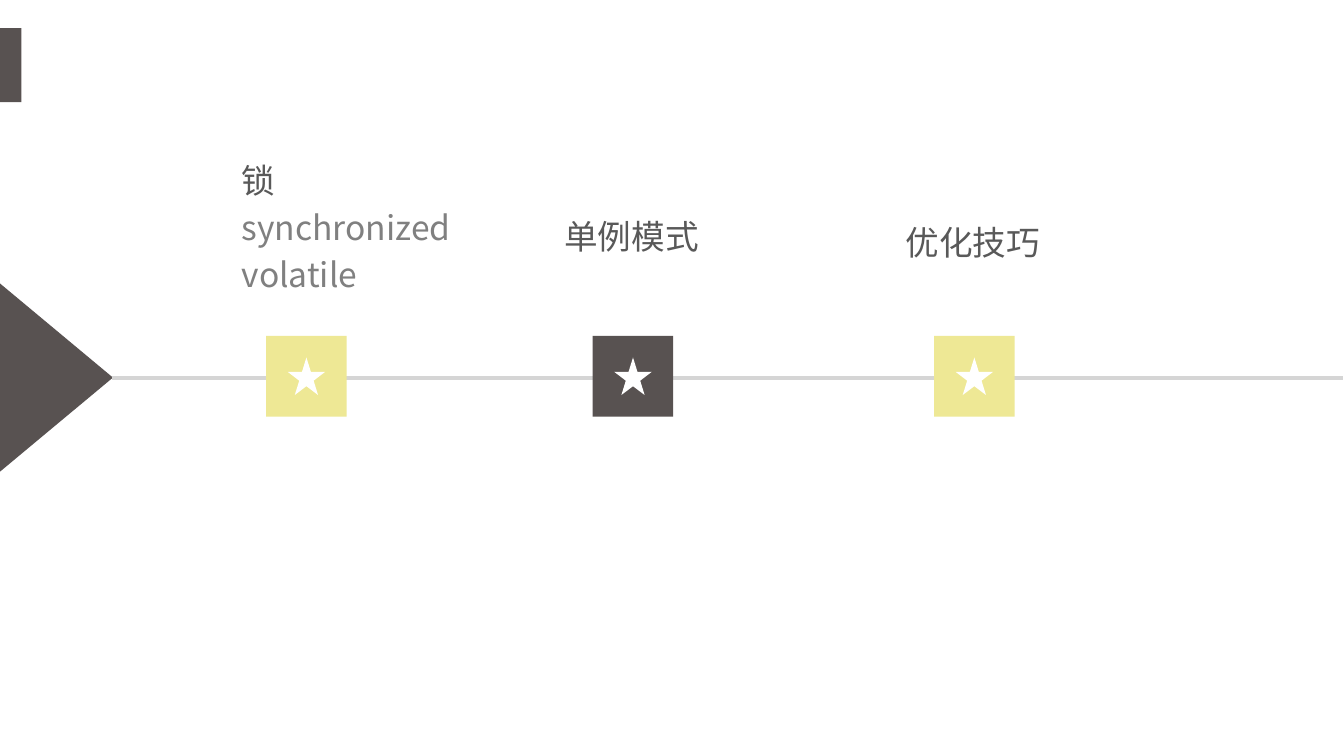
from lxml import etree
from pptx import Presentation
from pptx import util as u
from pptx.dml.color import RGBColor
from pptx.enum import shapes, text
from pptx.oxml.ns import qn

FONT = "Noto Sans CJK SC"
DARK, YELLOW, WHITE, GREY = "585251", "EEE895", "FFFFFF", "D5D5D5"
HEADING, DETAIL = "595959", "808080"
AXIS_Y, SQUARE, STAR = 2.8, 0.6, 0.28

MILESTONES = [
    {"center": 2.28, "fill": YELLOW, "label": (1.7, 1.14, 1.85, 1.22),
     "lines": ["锁", "synchronized", "volatile"]},
    {"center": 4.71, "fill": DARK, "label": (4.1, 1.56, 1.23, 0.38),
     "lines": ["单例模式"]},
    {"center": 7.25, "fill": YELLOW, "label": (6.64, 1.6, 1.23, 0.38),
     "lines": ["优化技巧"]},
]


def color(value):
    return RGBColor.from_string(value)


def add_shape(parent, kind, box, fill):
    shape = parent.add_shape(kind, *map(u.Inches, box))
    shape.shadow.inherit = False
    shape.fill.solid()
    shape.fill.fore_color.rgb = color(fill)
    shape.line.fill.background()
    return shape


def centered(x, size):
    return x - size / 2, AXIS_Y - size / 2, size, size


def add_label(parent, box, lines):
    frame = parent.add_textbox(*map(u.Inches, box)).text_frame
    settings = {"word_wrap": True, "vertical_anchor": text.MSO_ANCHOR.TOP}
    for name, value in settings.items():
        setattr(frame, name, value)
    for index, line in enumerate(lines):
        paragraph = frame.add_paragraph() if index else frame.paragraphs[0]
        paragraph.space_before = u.Pt(3.6)
        run = paragraph.add_run()
        run.text = line
        for name, value in {"size": u.Pt(18), "name": FONT}.items():
            setattr(run.font, name, value)
        run.font.color.rgb = color(DETAIL if index else HEADING)
        east_asian = etree.SubElement(run.font._element, qn("a:ea"))
        east_asian.set("typeface", FONT)


def main():
    presentation = Presentation()
    presentation.slide_width = u.Inches(10)
    presentation.slide_height = u.Inches(10 * 9 / 16)
    slide = presentation.slides.add_slide(presentation.slide_layouts[6])
    kinds = shapes.MSO_SHAPE

    add_shape(slide.shapes, kinds.RECTANGLE, (0, 0.21, 0.16, 0.55), DARK)
    arrow = add_shape(slide.shapes, kinds.ISOSCELES_TRIANGLE,
                      (-0.28, 2.39, 1.4, 0.84), DARK)
    arrow.rotation = 90

    axis = slide.shapes.add_connector(
        shapes.MSO_CONNECTOR.STRAIGHT,
        *map(u.Inches, (0.83, 2.81, 9.99, 2.81)))
    axis.line.color.rgb = color(GREY)
    axis.line.width = u.Pt(2)
    etree.SubElement(axis._element.spPr, qn("a:effectLst"))

    for milestone in MILESTONES:
        group = slide.shapes.add_group_shape()
        center = milestone["center"]
        add_shape(group.shapes, kinds.RECTANGLE,
                  centered(center, SQUARE), milestone["fill"])
        add_shape(group.shapes, kinds.STAR_5_POINT,
                  centered(center, STAR), WHITE)

    for milestone in MILESTONES:
        add_label(slide.shapes, milestone["label"], milestone["lines"])

    presentation.save("out.pptx")


if __name__ == "__main__":
    main()
